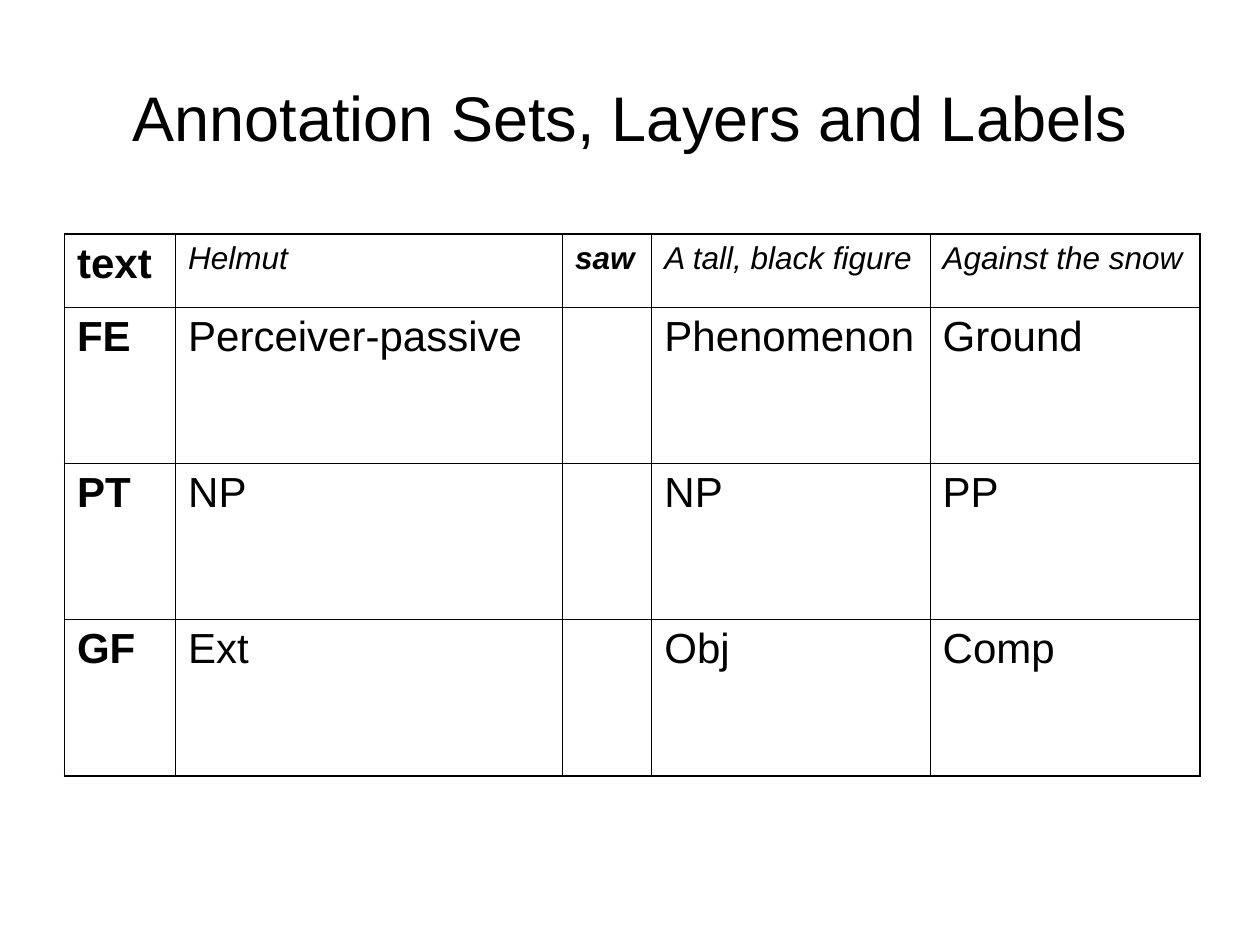
"""Build a slide with a table of annotation layers and their labels."""
from lxml import etree
from pptx import Presentation
from pptx import util as u
from pptx.dml.color import RGBColor
from pptx.enum import text
from pptx.oxml import ns

BLACK = RGBColor(0x00, 0x00, 0x00)
WHITE = RGBColor(0xFF, 0xFF, 0xFF)
THIN, THICK = 0.45, 1.08


def write(tf, content, size, bold=False, italic=False, align=text.PP_ALIGN.LEFT, before=0):
    p = tf.paragraphs[0]
    p.alignment = align
    p.space_before = u.Pt(before)
    r = p.add_run()
    r.text = content
    r.font.name = "Arial"
    r.font.size = u.Pt(size)
    r.font.bold = bold
    r.font.italic = italic
    r.font.color.rgb = BLACK


def add_border(cell, side, width):
    tcPr = cell._tc.get_or_add_tcPr()
    ln = etree.SubElement(tcPr, ns.qn(f"a:ln{side}"), w=str(u.Pt(width)))
    fill = etree.SubElement(ln, ns.qn("a:solidFill"))
    etree.SubElement(fill, ns.qn("a:srgbClr"), val=str(BLACK))


prs = Presentation()
prs.slide_width, prs.slide_height = u.Cm(25.4), u.Cm(19.05)
s = prs.slides.add_slide(prs.slide_layouts[5])
s.background.fill.solid()
s.background.fill.fore_color.rgb = WHITE

title = s.shapes.title
title.left, title.top = u.Cm(1.27), u.Cm(0.76)
title.width, title.height = u.Cm(22.86), u.Cm(3.18)
title.text_frame.vertical_anchor = text.MSO_ANCHOR.MIDDLE
write(title.text_frame, "Annotation Sets, Layers and Labels", 36, align=text.PP_ALIGN.CENTER)

rows = [
    ["text", "Helmut", "saw", "A tall, black figure", "Against the snow"],
    ["FE", "Perceiver-passive", "", "Phenomenon", "Ground"],
    ["PT", "NP", "", "NP", "PP"],
    ["GF", "Ext", "", "Obj", "Comp"],
]
widths = [2.24, 7.8, 1.8, 5.61, 5.44]
heights = [1.47, 3.15, 3.15, 3.15]
last_row, last_col = len(rows) - 1, len(widths) - 1

frame = s.shapes.add_table(len(rows), len(widths), u.Cm(1.3), u.Cm(4.72),
                           u.Cm(sum(widths)), u.Cm(sum(heights)))
table = frame.table
table.first_row = table.horz_banding = False
for col, width in zip(table.columns, widths):
    col.width = u.Cm(width)
for row, height in zip(table.rows, heights):
    row.height = u.Cm(height)

for i, labels in enumerate(rows):
    for j, label in enumerate(labels):
        cell = table.cell(i, j)
        outer = {"L": j == 0, "R": j == last_col, "T": i == 0, "B": i == last_row}
        for side, is_outer in outer.items():
            add_border(cell, side, THICK if is_outer else THIN)
        cell.fill.background()
        if label:
            example = i == 0 and j > 0
            write(cell.text_frame, label, 18 if example else 24,
                  bold=j == 0 or label == "saw", italic=example,
                  before=4.5 if example else 6)

prs.save("out.pptx")
